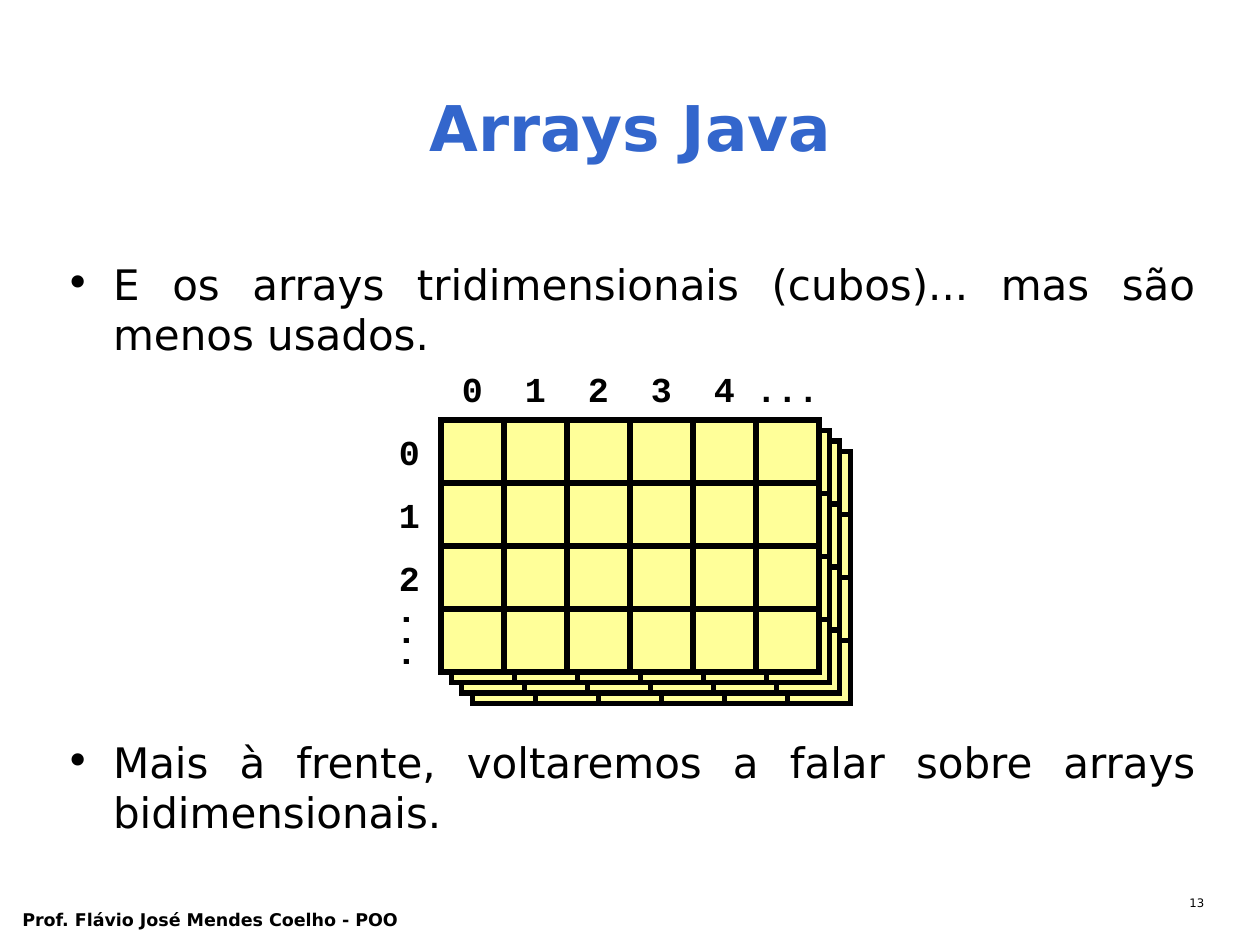
import pptx
import pptx.dml.color
import pptx.enum.shapes
import pptx.enum.text
import pptx.oxml
import pptx.oxml.ns
import pptx.util

Cm, Pt = pptx.util.Cm, pptx.util.Pt
ALIGN = pptx.enum.text.PP_ALIGN
ANCHOR = pptx.enum.text.MSO_ANCHOR
COLORS = {"title": "3366CC", "text": "000000", "cell": "FFFF99", "line": "000000"}

# Content
TITLE = "Arrays Java"
BULLETS = [  # text, space before in points (the second leaves room for the cube)
    ("E os arrays tridimensionais (cubos)... mas são menos usados.", 6),
    ("Mais à frente, voltaremos a falar sobre arrays bidimensionais.", 215.5),
]
COLUMNS = ["0", "1", "2", "3", "4", "..."]
ROWS = ["0", "1", "2", "..."]
FOOTER = "Prof. Flávio José Mendes Coelho - POO"
PAGE = "13"

# Cube geometry in centimetres
LEFT, TOP, CELL = 8.89, 8.47, 1.27
LAYERS, SHIFT = 4, 0.21
INDEX_WIDTH = 1.4  # three monospaced characters fit on one line

# Text formats
SANS, MONO = "DejaVu Sans", "Courier New"
TITLE_FONT = {"name": SANS, "size": Pt(36), "bold": True}
BODY_FONT = {"name": SANS, "size": Pt(24)}
FOOTER_FONT = {"name": SANS, "size": Pt(10), "bold": True}
PAGE_FONT = {"name": SANS, "size": Pt(6.7)}
INDEX_FONT = {"name": MONO, "size": Pt(20), "bold": True}


def rgb(name):
    return pptx.dml.color.RGBColor.from_string(COLORS[name])


def set_all(target, values):
    for key, value in values.items():
        setattr(target, key, value)


def add_xml(parent, tag, attributes=""):
    parent.append(pptx.oxml.parse_xml(
        f'<a:{tag} {pptx.oxml.ns.nsdecls("a")} {attributes}/>'))


def write(p, text, font, color="text", **paragraph_format):
    r = p.add_run()
    r.text = text
    set_all(r.font, font)
    r.font.color.rgb = rgb(color)
    set_all(p, paragraph_format)


def add_text(shapes, box, **frame_format):
    sp = shapes.add_textbox(*map(Cm, box))
    set_all(sp.text_frame, {"word_wrap": True, **frame_format})
    return sp


def add_bullet(p):
    pPr = p._p.get_or_add_pPr()
    pPr.set("marL", str(Cm(0.96)))
    pPr.set("indent", str(Cm(-0.96)))
    add_xml(pPr, "buFont", f'typeface="{SANS}"')
    add_xml(pPr, "buChar", 'char="•"')


def add_cell(shapes, left, top):
    sp = shapes.add_shape(pptx.enum.shapes.MSO_SHAPE.RECTANGLE,
                          Cm(left), Cm(top), Cm(CELL), Cm(CELL))
    sp.shadow.inherit = False
    sp.fill.solid()
    sp.fill.fore_color.rgb = rgb("cell")
    sp.line.color.rgb = rgb("line")
    sp.line.width = Pt(3)
    add_xml(sp.line._get_or_add_ln(), "miter", 'lim="800000"')


def add_index(shapes, text, left, top, anchor=ANCHOR.MIDDLE):
    """Centre an index label on the cell-sized square at left, top."""
    box = (left - (INDEX_WIDTH - CELL) / 2, top, INDEX_WIDTH, CELL)
    sp = add_text(shapes, box, vertical_anchor=anchor, margin_left=0, margin_right=0)
    write(sp.text_frame.paragraphs[0], text, INDEX_FONT, alignment=ALIGN.CENTER)
    return sp


def main():
    prs = pptx.Presentation()
    prs.slide_width, prs.slide_height = Cm(25.4), Cm(19.05)
    s = prs.slides.add_slide(prs.slide_layouts[5])

    # Footer and page number
    sp = add_text(s.shapes, (0.2, 18.21, 10.21, 0.84))
    write(sp.text_frame.paragraphs[0], FOOTER, FOOTER_FONT)
    sp = add_text(s.shapes, (19.25, 17.98, 5.28, 0.64))
    write(sp.text_frame.paragraphs[0], PAGE, PAGE_FONT,
          alignment=ALIGN.RIGHT, line_spacing=0.8)

    # Title
    title = s.shapes.title
    set_all(title, {"left": Cm(1.07), "top": Cm(0.64),
                    "width": Cm(23.29), "height": Cm(3.81)})
    tf = title.text_frame
    tf.auto_size = pptx.enum.text.MSO_AUTO_SIZE.NONE
    tf.vertical_anchor = ANCHOR.MIDDLE
    write(tf.paragraphs[0], TITLE, TITLE_FONT, "title", alignment=ALIGN.CENTER)

    # Bullets
    tf = add_text(s.shapes, (1.07, 5.08, 23.29, 12.7)).text_frame
    for i, (text, before) in enumerate(BULLETS):
        p = tf.add_paragraph() if i else tf.paragraphs[0]
        write(p, text, BODY_FONT, alignment=ALIGN.JUSTIFY, space_before=Pt(before))
        add_bullet(p)

    # Cube: one group of cells per layer, back to front
    for depth in reversed(range(LAYERS)):
        layer = s.shapes.add_group_shape().shapes
        for row in range(len(ROWS)):
            for col in range(len(COLUMNS)):
                add_cell(layer, LEFT + depth * SHIFT + col * CELL,
                         TOP + depth * SHIFT + row * CELL)

    # Column and row indexes; the last row index is turned to run downwards
    for col, text in enumerate(COLUMNS):
        add_index(s.shapes, text, LEFT + col * CELL, TOP - CELL)
    for row, text in enumerate(ROWS[:-1]):
        add_index(s.shapes, text, LEFT - CELL, TOP + row * CELL)
    dots = add_index(s.shapes, ROWS[-1], LEFT - CELL + 0.08,
                     TOP + (len(ROWS) - 1) * CELL, ANCHOR.TOP)
    dots.rotation = 90

    prs.save("out.pptx")


if __name__ == "__main__":
    main()
